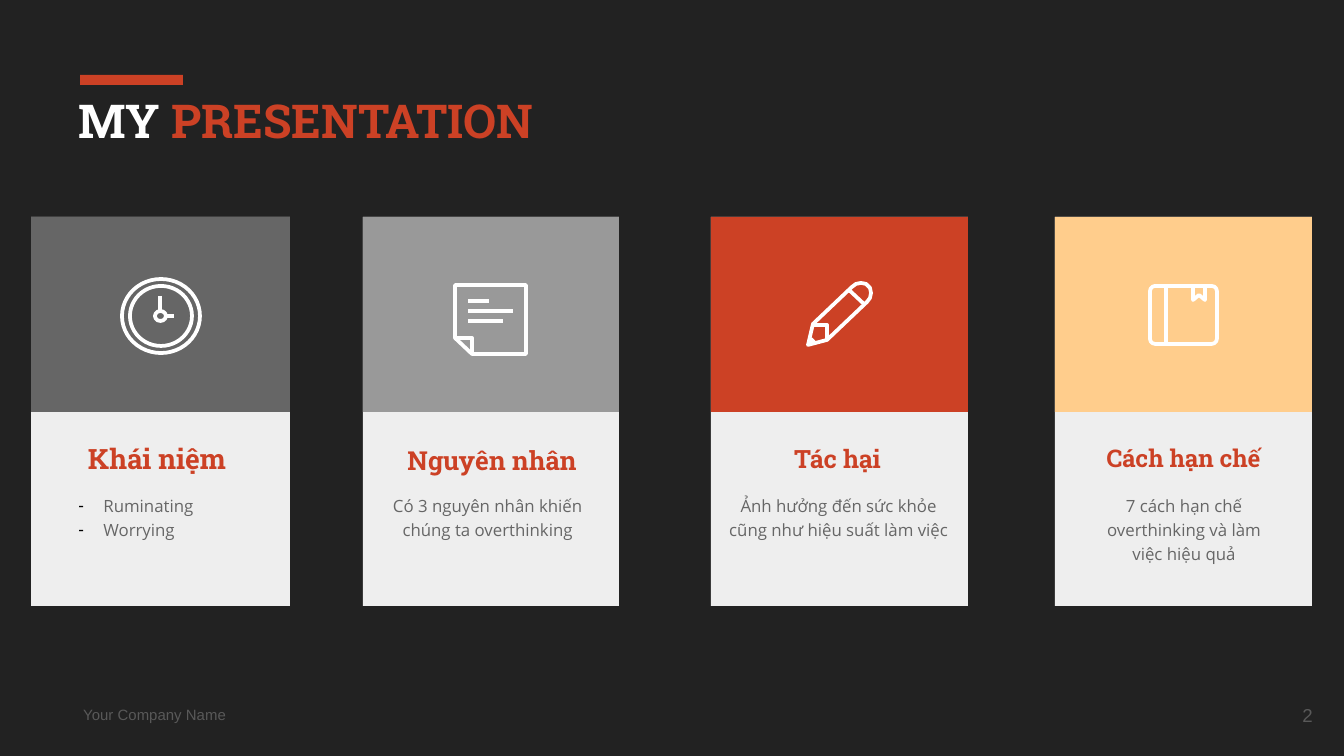
"""Build the four-card agenda slide."""
from lxml import etree
from pptx import Presentation, util as u
from pptx.dml.color import RGBColor
from pptx.enum import shapes, text
from pptx.oxml import ns

PX = 914400 / 134.4
C = {"bg": "222222", "red": "CC4125", "white": "FFFFFF", "light": "EEEEEE", "dark": "666666",
     "grey": "999999", "sand": "FFCD8C", "footer": "595959", "bullet": "000000"}
K = shapes.MSO_SHAPE
A = text.PP_ALIGN
ANCHOR = text.MSO_ANCHOR


def box(kind, x, y, w, h, fill=None):
    sp = s.shapes.add_shape(kind, *(round(v * PX) for v in (x, y, w, h)))
    sp.shadow.inherit = False
    if fill:
        sp.fill.solid()
        sp.fill.fore_color.rgb = RGBColor.from_string(C[fill])
        sp.line.fill.background()
    return sp


def write(sp, rect, paras, font, size, bold=False, align=A.LEFT, anchor=ANCHOR.MIDDLE, spacing=1):
    sp.left, sp.top, sp.width, sp.height = (round(v * PX) for v in rect)
    tf = sp.text_frame
    tf.word_wrap = True
    tf.auto_size = text.MSO_AUTO_SIZE.NONE
    tf.vertical_anchor = anchor
    tf.margin_left = tf.margin_right = tf.margin_top = tf.margin_bottom = u.Inches(0.1)
    for i, runs in enumerate(paras):
        p = tf.paragraphs[0] if i == 0 else tf.add_paragraph()
        p.alignment = align
        p.line_spacing = spacing
        p.space_before = u.Pt(0)
        for words, color in runs:
            r = p.add_run()
            r.text = words
            r.font.name = font
            r.font.size = u.Pt(size)
            r.font.bold = bold
            r.font.color.rgb = RGBColor.from_string(C[color])


prs = Presentation()
prs.slide_width, prs.slide_height = round(1344 * PX), round(756 * PX)
s = prs.slides.add_slide(prs.slide_layouts[1])
s.background.fill.solid()
s.background.fill.fore_color.rgb = RGBColor.from_string(C["bg"])

box(K.RECTANGLE, 80, 75, 103, 10, "red")
write(s.shapes.title, (65, 78, 1215, 87), [[("MY ", "white"), ("PRESENTATION", "red")]],
      "Roboto Slab", 25, True, anchor=ANCHOR.TOP)
write(s.shapes.add_textbox(0, 0, 0, 0), (70, 697, 224, 35),
      [[("Your Company Name", "footer")]], "Arial", 8)
write(s.shapes.add_textbox(0, 0, 0, 0), (1246, 686, 80, 58),
      [[("2", "footer")]], "Arial", 10, align=A.RIGHT)

cards = [
    (31, 259, "dark", "Khái niệm ", 15, (31, 437, 259), ["Ruminating", "Worrying"], (65, 222)),
    (363, 256, "grey", "Nguyên nhân", 14, (312, 439, 360),
     ["Có 3 nguyên nhân khiến chúng ta overthinking"], (370, 235)),
    (711, 257, "red", "Tác hại", 13.5, (702, 437, 271),
     ["Ảnh hưởng đến sức khỏe cũng như hiệu suất làm việc"], (711, 255)),
    (1055, 257, "sand", "Cách hạn chế", 13, (1055, 437, 257),
     ["7 cách hạn chế overthinking và làm việc hiệu quả"], (1077, 214)),
]
for x, w, color, heading, size, head_at, lines, (body_x, body_w) in cards:
    box(K.RECTANGLE, x, 217, w, 389, "light")
    box(K.RECTANGLE, x, 217, w, 195, color)
    write(s.shapes.add_textbox(0, 0, 0, 0), (*head_at, 42), [[(heading, "red")]],
          "Roboto Slab", size, True, A.CENTER)
    is_list = len(lines) > 1
    if is_list:
        body = s.placeholders[1]
        body.element.getparent().append(body.element)
    else:
        body = s.shapes.add_textbox(0, 0, 0, 0)
    write(body, (body_x, 478, body_w, 106), [[(line, "dark")] for line in lines], "Open Sans", 9,
          align=A.LEFT if is_list else A.CENTER, anchor=ANCHOR.TOP, spacing=1.2)
    if is_list:
        for p in body.text_frame.paragraphs:
            pPr = p._p.get_or_add_pPr()
            pPr.set("marL", str(round(25 * PX)))
            pPr.set("indent", str(round(-25 * PX)))
            clr = etree.SubElement(pPr, ns.qn("a:buClr"))
            etree.SubElement(clr, ns.qn("a:srgbClr")).set("val", C["bullet"])
            etree.SubElement(pPr, ns.qn("a:buChar")).set("char", "-")

clock = [box(K.OVAL, *ring) for ring in ((122, 279, 78, 74), (130, 286, 62, 60), (155, 311, 11, 10))]
book = box(K.ROUNDED_RECTANGLE, 1150, 286, 67, 58)
book.adjustments[0] = 0.09
strokes = [*clock, book]

note = [(455, 285), (526, 285), (526, 354), (472, 354), (455, 338)]
note_fold = [(455, 338), (472, 338), (472, 354)]
pencil = [(808, 345), (813, 324), (852, 287), (856, 284), (861, 283), (866, 284), (870, 288),
          (871, 293), (870, 298), (867, 302), (827, 340)]
pencil_tip = [(813, 325), (827, 325), (827, 340)]
pencil_lead = [(809, 344), (811, 339), (814, 342)]
bookmark = [(1193, 286), (1193, 300), (1199, 295), (1205, 300), (1205, 286)]
for pts, closed in ((note, True), (note_fold, False), (pencil, True), (pencil_tip, False),
                    (pencil_lead, True), (bookmark, False)):
    fb = s.shapes.build_freeform(*pts[0], scale=PX)
    fb.add_line_segments(pts[1:], close=closed)
    sp = fb.convert_to_shape()
    sp.shadow.inherit = False
    strokes.append(sp)
for sp in strokes:
    sp.fill.background()

clock_hands = [(160, 296, 160, 310), (167, 316, 174, 316)]
note_lines = [(468, 301, 489, 301), (468, 311, 513, 311), (468, 321, 503, 321)]
pencil_band = (849, 290, 864, 304)
book_spine = (1166, 286, 1166, 344)
for ends in (*clock_hands, *note_lines, pencil_band, book_spine):
    cx = s.shapes.add_connector(shapes.MSO_CONNECTOR.STRAIGHT, *(round(v * PX) for v in ends))
    strokes.append(cx)
    etree.SubElement(cx.element.spPr, ns.qn("a:effectLst"))
for sp in strokes:
    sp.line.color.rgb = RGBColor.from_string(C["white"])
    sp.line.width = u.Pt(2)

prs.save("out.pptx")
